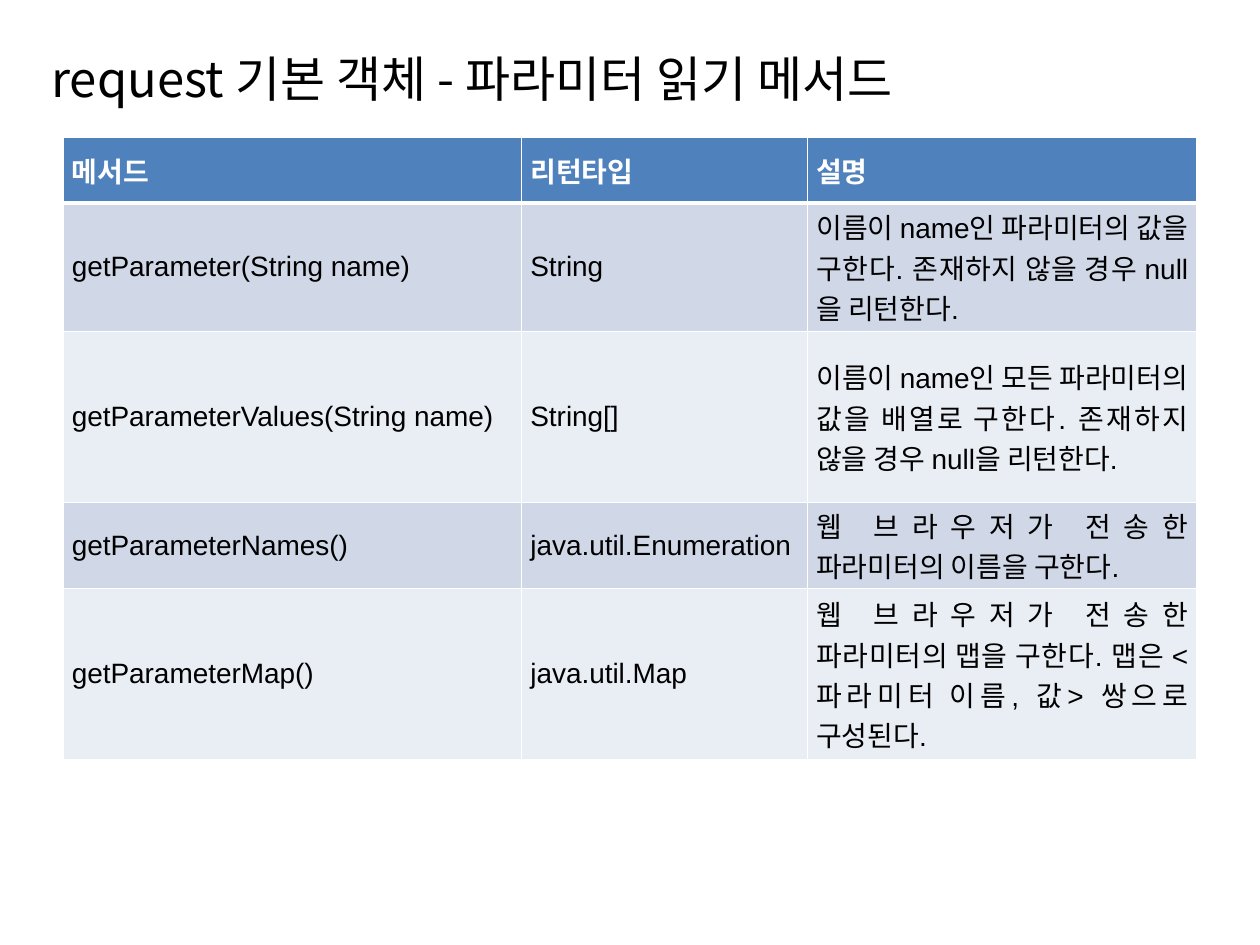
import pptx
import pptx.util
import pptx.dml.color
import pptx.enum.text
import pptx.oxml
import pptx.oxml.ns
import lxml.etree

Inches, Pt = pptx.util.Inches, pptx.util.Pt

TITLE = "request 기본 객체 - 파라미터 읽기 메서드"
METHODS = [
    ("메서드", "리턴타입", "설명"),
    ("getParameter(String name)", "String",
     "이름이 name인 파라미터의 값을 구한다. 존재하지 않을 경우 null을 리턴한다."),
    ("getParameterValues(String name)", "String[]",
     "이름이 name인 모든 파라미터의 값을 배열로 구한다. 존재하지 않을 경우 null을 리턴한다."),
    ("getParameterNames()", "java.util.Enumeration",
     "웹 브라우저가 전송한 파라미터의 이름을 구한다."),
    ("getParameterMap()", "java.util.Map",
     "웹 브라우저가 전송한 파라미터의 맵을 구한다. 맵은 <파라미터 이름, 값> 쌍으로 구성된다."),
]
COLUMN_WIDTHS = [3.64, 2.27, 3.09]
HEADER_HEIGHT, LINE_HEIGHT = 0.5, 0.34
DESCRIPTION_LINES = [3, 4, 2, 4]
COLORS = {"text": "000000", "header": "4F81BD", "odd": "D0D8E8",
          "even": "E9EDF4", "line": "FFFFFF"}
KOREAN, LATIN = "Noto Sans CJK KR", "Arial"


def rgb(key):
    return pptx.dml.color.RGBColor.from_string(COLORS[key])


def write(frame, text, size, face, color, bold=False):
    frame.text = text
    frame.word_wrap = True
    frame.vertical_anchor = pptx.enum.text.MSO_ANCHOR.MIDDLE
    paragraph = frame.paragraphs[0]
    font = paragraph.font
    font.size, font.name, font.bold = Pt(size), face, bold
    font.color.rgb = rgb(color)
    east_asian = pptx.oxml.ns.qn("a:ea")
    lxml.etree.SubElement(font._element, east_asian).set("typeface", KOREAN)
    return paragraph


def add_borders(cell, widths):
    properties = cell._tc.get_or_add_tcPr()
    for position, (side, width) in enumerate(widths.items()):
        properties.insert(position, pptx.oxml.parse_xml(
            f'<a:ln{side} {pptx.oxml.ns.nsdecls("a")} w="{Pt(width)}"><a:solidFill>'
            f'<a:srgbClr val="{COLORS["line"]}"/></a:solidFill></a:ln{side}>'))


def main():
    deck = pptx.Presentation()
    deck.slide_width, deck.slide_height = Inches(10), Inches(7.5)
    slide = deck.slides.add_slide(deck.slide_layouts[6])

    title = slide.shapes.add_textbox(Inches(0.31), Inches(0.3), Inches(9.45), Inches(0.64))
    write(title.text_frame, TITLE, 28, KOREAN, "text")

    heights = [HEADER_HEIGHT + 0.02] + [LINE_HEIGHT * n for n in DESCRIPTION_LINES]
    methods = slide.shapes.add_table(
        len(METHODS), len(COLUMN_WIDTHS), Inches(0.5), Inches(1.09),
        Inches(sum(COLUMN_WIDTHS)), Inches(sum(heights))).table
    for column, width in zip(methods.columns, COLUMN_WIDTHS):
        column.width = Inches(width)

    for r, (texts, height) in enumerate(zip(METHODS, heights)):
        methods.rows[r].height = Inches(height)
        header = r == 0
        band = "header" if header else ("even", "odd")[r % 2]
        for c, text in enumerate(texts):
            cell = methods.cell(r, c)
            cell.margin_left = cell.margin_right = Inches(0.07)
            cell.margin_top = cell.margin_bottom = 0
            cell.vertical_anchor = pptx.enum.text.MSO_ANCHOR.MIDDLE
            cell.fill.solid()
            cell.fill.fore_color.rgb = rgb(band)
            add_borders(cell, {"L": 1, "R": 1, "T": 3 if r == 1 else 1,
                               "B": 3 if header else 1})
            paragraph = write(cell.text_frame, text, 16, LATIN,
                              "line" if header else "text", header)
            paragraph.alignment = pptx.enum.text.PP_ALIGN.JUSTIFY

    deck.save("out.pptx")


if __name__ == "__main__":
    main()
